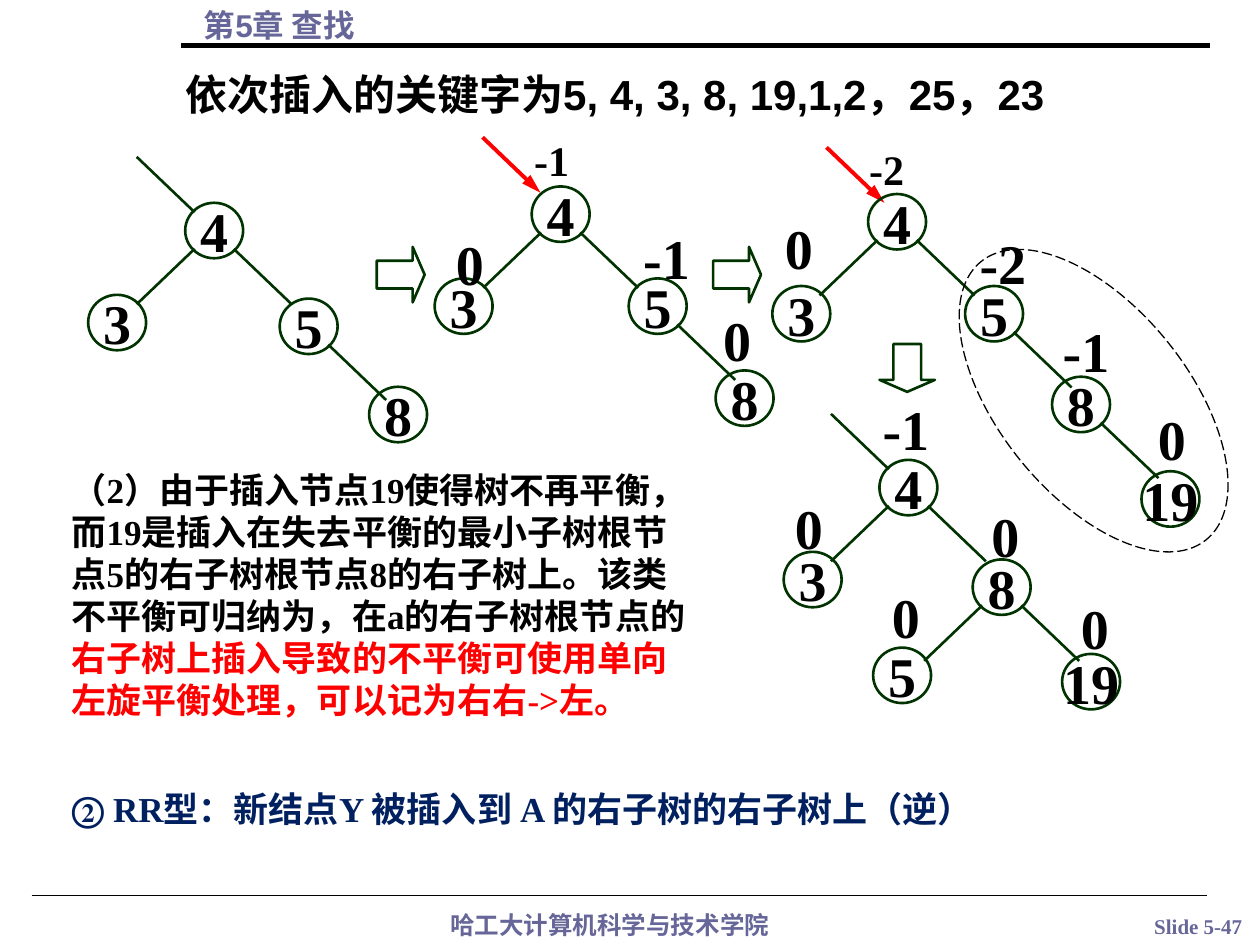
from lxml import etree
from pptx import Presentation, util as u
from pptx.dml.color import RGBColor
from pptx.enum import dml, shapes, text
from pptx.oxml.ns import qn

COLORS = {"ink": "000000", "tree": "003300", "alert": "FF0000",
          "frame": "666699", "rule": "002060"}
SERIF, SANS, CJK = "Times New Roman", "Arial", "Noto Sans CJK SC"
COLUMNS, ROWS = 100, 75
NODE_W, NODE_H = 4.6, 4.4
EDGE_X, EDGE_Y = 1.55, 1.45      # where an edge meets a node, from its centre
RUN_X, RUN_Y = 4.6, 4.4          # span of every edge
LEFT, RIGHT = -1, 1


def write(paragraph, words, size=20, font=SERIF, color="ink"):
    """Add one bold run to a paragraph."""
    run = paragraph.add_run()
    run.text = words
    run.font.size, run.font.bold = u.Pt(size), True
    run.font.color.rgb = RGBColor.from_string(COLORS[color])
    run.font.name = font
    etree.SubElement(run.font._element, qn("a:ea"), typeface=CJK)


class Board:
    """The current slide on a grid of 100 columns and 75 rows."""

    def __init__(self, deck):
        self.column = deck.slide_width / COLUMNS
        self.row = deck.slide_height / ROWS
        self.slide = deck.slides.add_slide(deck.slide_layouts[5])

    def grid(self, *lengths):
        units = (self.column, self.row)
        return [int(n * units[i % 2]) for i, n in enumerate(lengths)]

    def frame(self, box, wrap, anchor, align):
        frame = box.text_frame
        frame.word_wrap = wrap
        frame.vertical_anchor = anchor
        paragraph = frame.paragraphs[0]
        paragraph.alignment = align
        # Keep punctuation inside the right margin
        paragraph._p.get_or_add_pPr().set("hangingPunct", "0")
        return paragraph

    def title(self, at, words, **style):
        title = self.slide.shapes.title
        title.left, title.top, title.width, title.height = self.grid(*at)
        title.text_frame.auto_size = text.MSO_AUTO_SIZE.NONE
        write(self.frame(title, False, text.MSO_ANCHOR.TOP, text.PP_ALIGN.LEFT),
              words, **style)

    def label(self, at, *runs, wrap=True, align=text.PP_ALIGN.LEFT,
              anchor=text.MSO_ANCHOR.TOP, spacing=None, **style):
        box = self.slide.shapes.add_textbox(*self.grid(*at))
        paragraph = self.frame(box, wrap, anchor, align)
        if spacing:
            paragraph.line_spacing = u.Pt(spacing)
        for words, color in runs:
            write(paragraph, words, color=color, **style)

    def outline(self, kind, at, color="tree", weight=1.5, turn=0, dash=None):
        shape = self.slide.shapes.add_shape(kind, *self.grid(*at))
        shape.shadow.inherit = False
        shape.fill.background()
        shape.line.color.rgb = RGBColor.from_string(COLORS[color])
        shape.line.width = u.Pt(weight)
        shape.rotation = turn
        if dash:
            shape.line.dash_style = dash
        return shape

    def block_arrow(self, left, top, turn=0):
        arrow = self.outline(shapes.MSO_SHAPE.RIGHT_ARROW,
                             (left, top, 3.8, 4.4), turn=turn)
        arrow.adjustments[0], arrow.adjustments[1] = 0.5, 0.25

    def line(self, start, end, color="tree", weight=1.5, head=False):
        line = self.slide.shapes.add_connector(
            shapes.MSO_CONNECTOR.STRAIGHT, *self.grid(*start, *end))
        line.line.color.rgb = RGBColor.from_string(COLORS[color])
        line.line.width = u.Pt(weight)
        if head:
            etree.SubElement(line.line._get_or_add_ln(), qn("a:tailEnd"),
                             type="triangle", w="med", len="lg")
        etree.SubElement(line._element.spPr, qn("a:effectLst"))

    def pointer(self, x, y):
        self.line((x, y), (x + RUN_X, y + RUN_Y), "alert", 2.25, head=True)

    def node(self, key, x, y, children=(), balance=None):
        """A key centred at x, y, its edges down and its balance factor."""
        circle = self.outline(shapes.MSO_SHAPE.OVAL, (
            x - NODE_W / 2, y - NODE_H / 2, NODE_W, NODE_H))
        write(self.frame(circle, False, text.MSO_ANCHOR.MIDDLE,
                         text.PP_ALIGN.CENTER), key, size=32)
        for side in children:
            start = x + side * EDGE_X, y + EDGE_Y
            self.line(start, (start[0] + side * RUN_X, start[1] + RUN_Y))
        if balance:
            factor, cx, cy = balance
            w, h = 2.8 + 1.6 * len(factor), 6.4
            self.label((cx - w / 2, cy - h / 2, w, h), (factor, "ink"),
                       wrap=False, align=text.PP_ALIGN.CENTER,
                       anchor=text.MSO_ANCHOR.MIDDLE, size=32)

    def stem(self, x, y):
        """The edge from the unseen parent down to a root at x, y."""
        end = x - EDGE_X, y - EDGE_Y
        self.line((end[0] - RUN_X, end[1] - RUN_Y), end)


BOTH = (LEFT, RIGHT)
# key, centre column, centre row, edges, (balance factor, its centre)
BEFORE = [("4", 17, 18.3, BOTH), ("3", 9.3, 25.6),
          ("5", 24.5, 25.9, (RIGHT,)), ("8", 31.6, 32.9)]
INSERT_8 = [("4", 44.5, 17, BOTH),
            ("3", 36.8, 24.3, (), ("0", 37.3, 20.9)),
            ("5", 52.2, 24.3, (RIGHT,), ("-1", 52.9, 20.4)),
            ("8", 59.1, 31.6, (), ("0", 58.5, 26.9))]
INSERT_19 = [("4", 71.2, 17.6, BOTH),
             ("3", 63.6, 24.9, (), ("0", 63.4, 19.6)),
             ("5", 78.9, 24.9, (RIGHT,), ("-2", 79.6, 20.8)),
             ("8", 85.8, 32.1, (RIGHT,), ("-1", 86.2, 27.8)),
             ("19", 92.9, 39.6, (), ("0", 93, 34.8))]
ROTATED = [("4", 72.1, 38.7, BOTH, ("-1", 71.9, 34)),
           ("3", 64.5, 46, (), ("0", 64.2, 41.8)),
           ("8", 79.5, 46.6, BOTH, ("0", 79.8, 42.5)),
           ("5", 71.6, 53.6, (), ("0", 71.9, 48.9)),
           ("19", 86.6, 54.1, (), ("0", 86.9, 49.8))]


def main():
    deck = Presentation()
    deck.slide_width, deck.slide_height = u.Inches(10), u.Inches(7.5)
    board = Board(deck)
    center = text.PP_ALIGN.CENTER

    # Header and footer
    board.label((30.4, 71.7, 36, 3.4), ("哈工大计算机科学与技术学院", "frame"),
                align=center, size=14, font=CJK)
    board.label((87.7, 72, 14.8, 3), ("Slide 5-47", "frame"),
                wrap=False, align=center, size=12)
    board.label((15.2, 0, 80.3, 4), ("第5章 查找", "frame"), size=18, font=SANS)
    board.line((14.4, 3.6), (96, 3.6), "ink", 3)
    board.line((2.5, 71.1), (95.8, 71.1), "ink", 0.75)
    board.title((13.7, 4.9, 78, 5),
                "依次插入的关键字为5, 4, 3, 8, 19,1,2，25，23", size=24, font=SANS)

    # Trees, from the first insertion to the rotation
    board.pointer(38.3, 10.9)
    board.pointer(65.6, 11.7)
    board.label((41.4, 10.2, 5.5, 5), ("-1", "ink"), size=24)
    board.label((68, 10.9, 5.5, 5), ("-2", "ink"), size=24)
    for tree in (BEFORE, INSERT_8, INSERT_19, ROTATED):
        for node in tree:
            board.node(*node)
    for root in (BEFORE[0], ROTATED[0]):
        board.stem(*root[1:3])

    # Steps between the trees and the unbalanced subtree
    board.block_arrow(29.9, 19.6)
    board.block_arrow(56.6, 19.6)
    board.block_arrow(70.1, 27, turn=90)
    board.outline(shapes.MSO_SHAPE.OVAL, (79.3, 17.6, 15, 28.4), "ink", 0.75,
                  turn=321, dash=dml.MSO_LINE.LONG_DASH)

    # Explanation and rule
    board.label(
        (4.7, 36.7, 52, 24.4),
        ("（2）由于插入节点19使得树不再平衡，而19是插入在失去平衡的最小子树"
         "根节点5的右子树根节点8的右子树上。该类不平衡可归纳为，在a的右子树根"
         "节点的", "ink"),
        ("右子树上插入导致的不平衡可使用单向左旋平衡处理，可以记为右右->左。",
         "alert"))
    board.label((4.7, 61.7, 76.6, 8.2),
                ("② RR型：新结点Y 被插入到 A 的右子树的右子树上（逆）", "rule"),
                spacing=26)
    deck.save("out.pptx")


if __name__ == "__main__":
    main()
